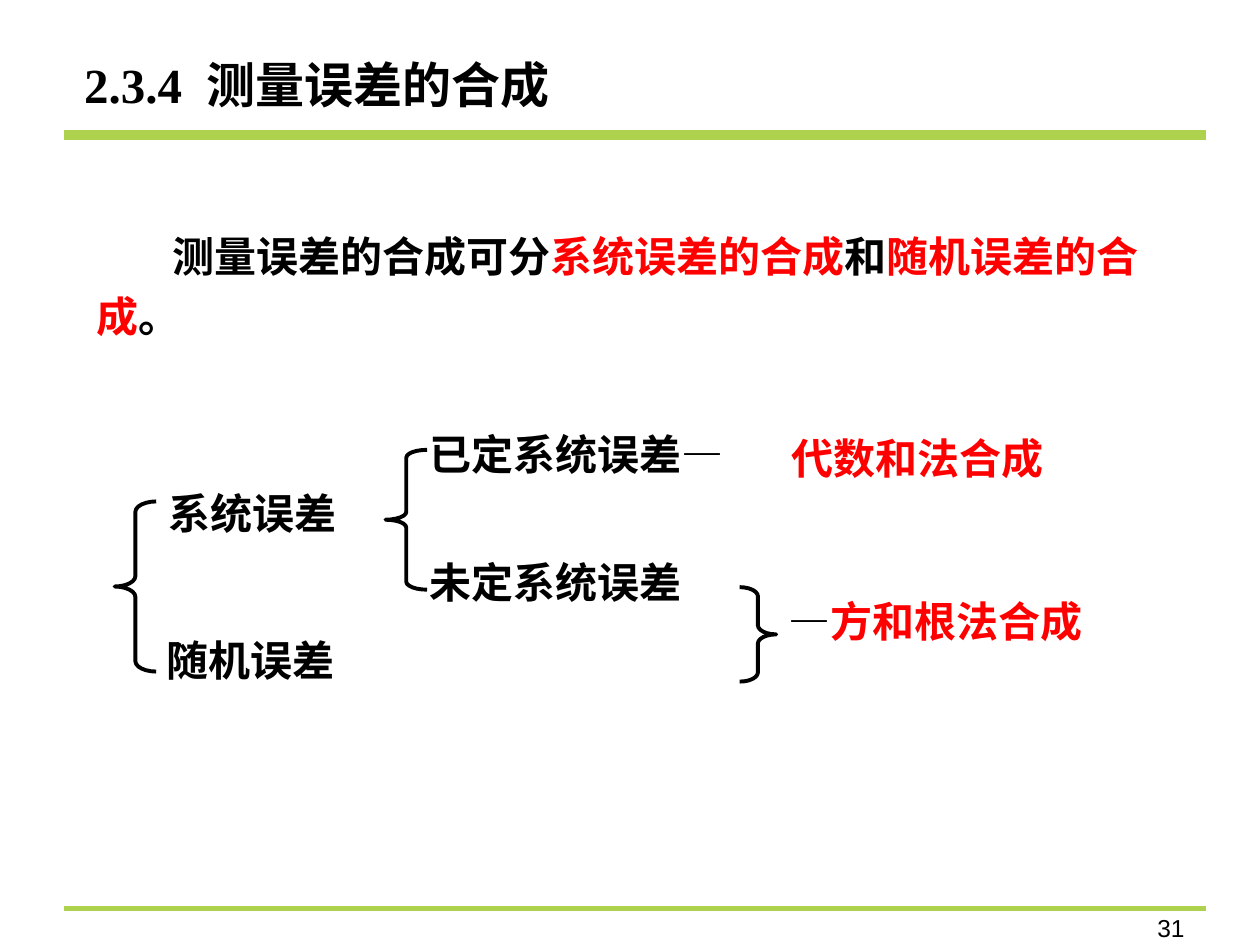
from lxml import etree
from pptx import Presentation
from pptx.enum import shapes, text
from pptx.oxml import ns
from pptx.util import Inches, Pt

HUES = {"ink": "000000", "red": "FF0000", "green": "AFD24E"}
SERIF = "Times New Roman"


def paint(color, hue):
    from_hex = type(color).rgb.fset
    from_hex(color, RGB.from_string(HUES[hue]))


def write(slide, box, runs, size=24, face=SERIF, bold=True, wrap=True):
    shape = slide.shapes.add_textbox(*map(Inches, box))
    frame = shape.text_frame
    frame.word_wrap = wrap
    para = frame.paragraphs[0]
    for words, hue in runs:
        run = para.add_run()
        run.text = words
        font = run.font
        font.name, font.size, font.bold = face, Pt(size), bold
        font.color.rgb = RGB.from_string(HUES[hue])
    return para


def rule(slide, left, top, width, weight):
    line = slide.shapes.add_connector(
        shapes.MSO_CONNECTOR.STRAIGHT,
        Inches(left), Inches(top), Inches(left + width), Inches(top))
    line.line.color.rgb = RGB.from_string(HUES["green"])
    line.line.width = Pt(weight)
    etree.SubElement(line._element.spPr, ns.qn("a:effectLst"))


def brace(slide, kind, box, bend=0.25):
    shape = slide.shapes.add_shape(kind, *map(Inches, box))
    shape.shadow.inherit = False
    shape.fill.background()
    shape.line.color.rgb = RGB.from_string(HUES["ink"])
    shape.line.width = Pt(2.25)
    shape.adjustments[0] = bend
    shape.adjustments[1] = 0.5


def frame(slide, left, top, width, height):
    rule(slide, left, top, width, 6)
    rule(slide, left, top + height, width, 3)
    page = write(slide, (left + 7.4, top + height - 0.01, 1.59, 0.3),
                 [("31", "ink")], 14, "Arial", False)
    page.alignment = text.PP_ALIGN.RIGHT


def intro(slide, left, top, width, height):
    para = write(slide, (left, top, width, height), [
        ("测量误差的合成可分", "ink"), ("系统误差的合成", "red"),
        ("和", "ink"), ("随机误差的合成", "red"), ("。", "ink")])
    para.line_spacing = 1.2
    para._p.get_or_add_pPr().set("indent", str(Inches(0.6)))


def tree(slide, left, top):
    kinds = shapes.MSO_SHAPE
    braces = [
        (kinds.LEFT_BRACE, 0, 0.63, 0.33, 1.35, 0.25),
        (kinds.LEFT_BRACE, 2.15, 0.22, 0.33, 1.11, 0.19),
        (kinds.RIGHT_BRACE, 4.96, 1.31, 0.29, 0.75, 0.25)]
    for kind, x, y, wide, high, bend in braces:
        brace(slide, kind, (left + x, top + y, wide, high), bend)
    labels = [
        (0.33, 0.47, 1.56, [("系统误差", "ink")]),
        (0.31, 1.64, 3.25, [("随机误差", "ink")]),
        (2.4, 0, 2.95, [("已定系统误差—", "ink")]),
        (2.4, 1.02, 3.34, [("未定系统误差", "ink")]),
        (5.27, 0.03, 3.31, [("代数和法合成", "red")]),
        (5.25, 1.33, 3.3, [("—", "ink"), ("方和根法合成", "red")])]
    for x, y, wide, runs in labels:
        write(slide, (left + x, top + y, wide, 0.5), runs, wrap=wide > 2)


def main():
    deck = Presentation()
    deck.slide_width, deck.slide_height = Inches(10), Inches(7.5)
    slide = deck.slides.add_slide(deck.slide_layouts[6])
    frame(slide, 0.51, 1.07, 9.06, 6.14)
    write(slide, (0.57, 0.38, 5.67, 0.57),
          [("2.3.4  测量误差的合成", "ink")], 28)
    intro(slide, 0.67, 1.7, 8.52, 1.07)
    tree(slide, 0.91, 3.35)
    deck.save("out.pptx")


from pptx.dml.color import RGBColor as RGB

if __name__ == "__main__":
    main()
